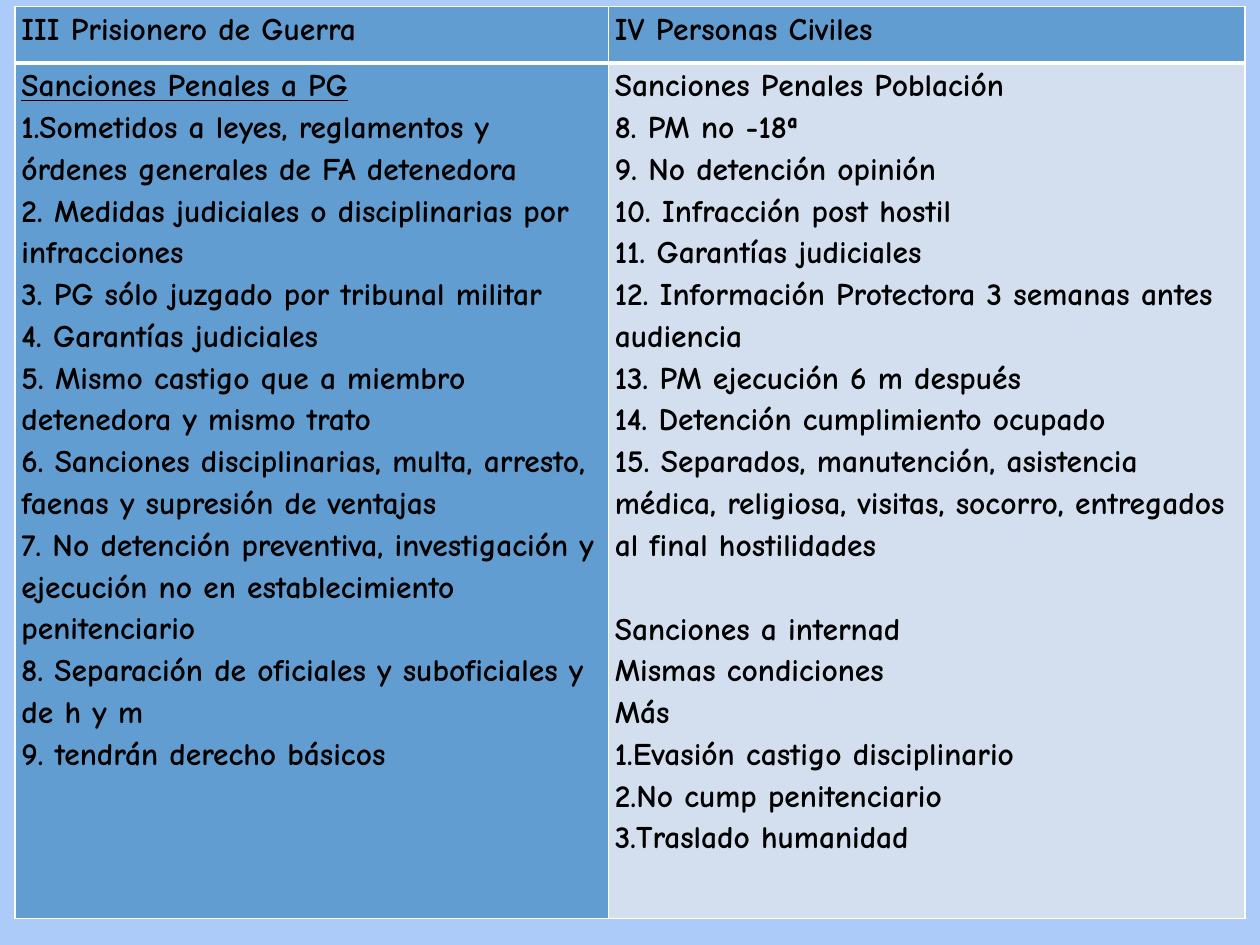
import pptx
import pptx.dml.color
import pptx.oxml
import pptx.oxml.ns
import pptx.util
from lxml import etree

Inches, Pt = pptx.util.Inches, pptx.util.Pt
RGBColor = pptx.dml.color.RGBColor
qn = pptx.oxml.ns.qn

SKY = RGBColor(0xAC, 0xCB, 0xF9)
BLUE = RGBColor(0x62, 0x9D, 0xD1)
PALE = RGBColor(0xD3, 0xDF, 0xEE)
WHITE = RGBColor(0xFF, 0xFF, 0xFF)
BLACK = RGBColor(0x00, 0x00, 0x00)

HEADERS = ["III Prisionero de Guerra", "IV Personas Civiles"]
PRISONERS = [
    "Sanciones Penales a PG",
    "1.Sometidos a leyes, reglamentos y órdenes generales de FA detenedora",
    "2. Medidas judiciales o disciplinarias por infracciones",
    "3. PG sólo juzgado por tribunal militar",
    "4. Garantías judiciales",
    "5. Mismo castigo que a miembro detenedora y mismo trato",
    "6. Sanciones disciplinarias, multa, arresto, faenas y supresión de ventajas",
    "7. No detención preventiva, investigación y ejecución no en establecimiento penitenciario",
    "8. Separación de oficiales y suboficiales y de h y m",
    "9. tendrán derecho básicos",
]
CIVILIANS = [
    "Sanciones Penales Población",
    "8. PM no -18ª",
    "9. No detención opinión",
    "10. Infracción post hostil",
    "11. Garantías judiciales",
    "12. Información Protectora 3 semanas antes audiencia",
    "13. PM ejecución 6 m después",
    "14. Detención cumplimiento ocupado",
    "15. Separados, manutención, asistencia médica, religiosa, visitas, socorro, "
    "entregados al final hostilidades",
]
INTERNEES = [
    "Sanciones a internad",
    "Mismas condiciones",
    "Más",
    "1.Evasión castigo disciplinario",
    "2.No cump penitenciario",
    "3.Traslado humanidad",
]


def add_text(tf, text, underline=False, before=0):
    """Fill the empty first paragraph, or append a new one."""
    p = tf.paragraphs[0] if not tf.text else tf.add_paragraph()
    p.line_spacing = 1.15
    p.space_before = Pt(before)
    r = p.add_run()
    r.text = text
    r.font.name = "Comic Neue"
    r.font.size = Pt(18)
    r.font.bold = True
    r.font.underline = underline
    r.font.color.rgb = BLACK


def set_borders(cell, **widths):
    tcPr = cell._tc.get_or_add_tcPr()
    for side in "LRTB":
        ln = etree.SubElement(tcPr, qn(f"a:ln{side}"), w=str(Pt(widths.get(side, 1))))
        fill = etree.SubElement(ln, qn("a:solidFill"))
        etree.SubElement(fill, qn("a:srgbClr"), val=str(WHITE))


prs = pptx.Presentation()
prs.slide_width, prs.slide_height = Inches(10), Inches(7.5)
s = prs.slides.add_slide(prs.slide_layouts[6])
s.background.fill.solid()
s.background.fill.fore_color.rgb = SKY

table = s.shapes.add_table(2, 2, Inches(0.12), Inches(0.05), Inches(9.76), Inches(7.24)).table
table.horz_banding = False
for column, width in zip(table.columns, (4.71, 5.05)):
    column.width = Inches(width)
for row, height in zip(table.rows, (0.45, 6.79)):
    row.height = Inches(height)

for i, row in enumerate(table.rows):
    for j, cell in enumerate(row.cells):
        cell.margin_left = cell.margin_right = Inches(0.05)
        cell.margin_top = cell.margin_bottom = 0
        # The rule under the header is the thick one
        set_borders(cell, **({"B": 3} if i == 0 else {"T": 3}))
        cell.fill.solid()
        cell.fill.fore_color.rgb = PALE if (i, j) == (1, 1) else BLUE

for j, text in enumerate(HEADERS):
    add_text(table.cell(0, j).text_frame, text)

tf = table.cell(1, 0).text_frame
for text in PRISONERS:
    add_text(tf, text, underline=text == PRISONERS[0])

tf = table.cell(1, 1).text_frame
for text in CIVILIANS + INTERNEES:
    add_text(tf, text, before=24 if text == INTERNEES[0] else 0)

prs.save("out.pptx")
